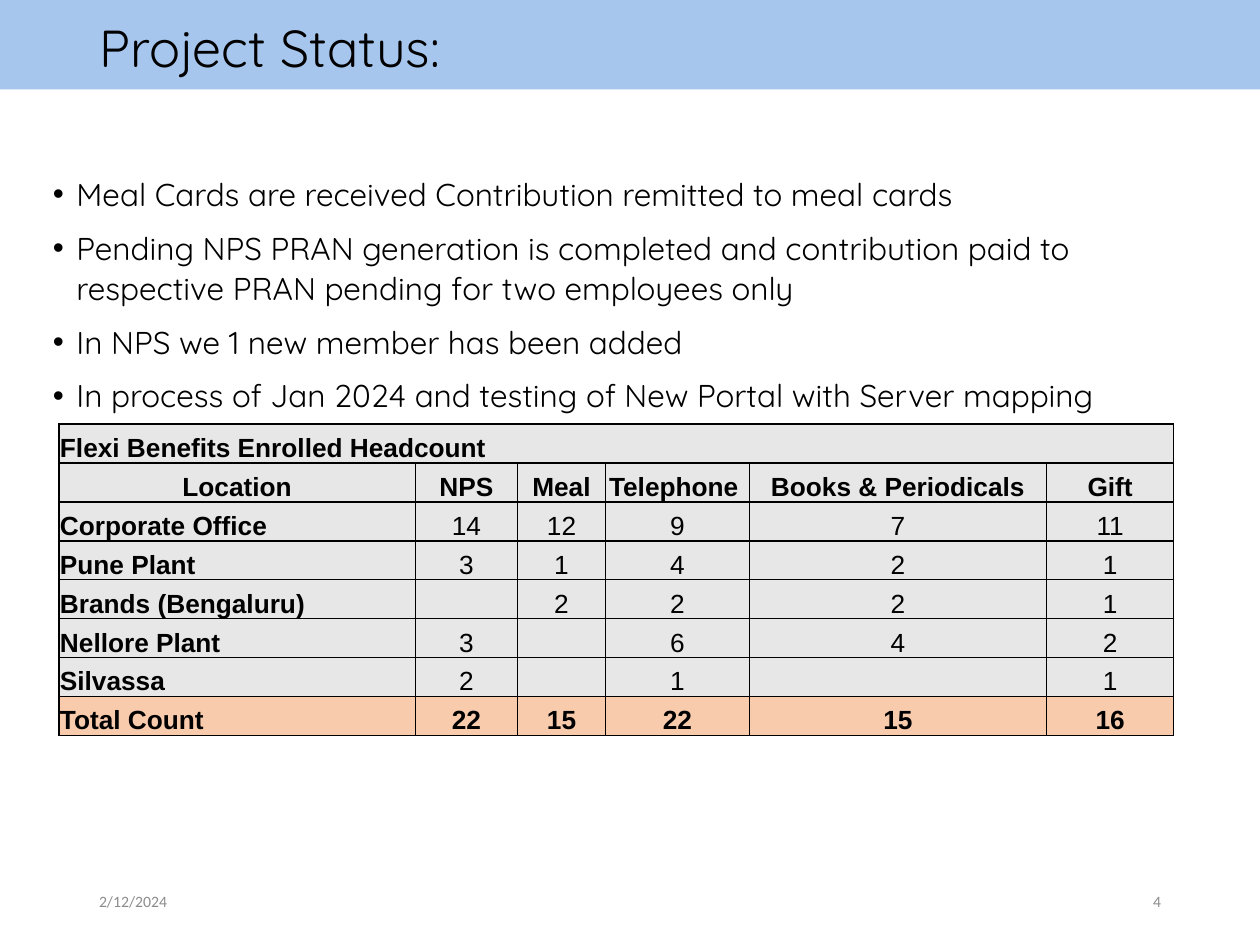
from lxml.etree import SubElement
from pptx import Presentation
from pptx.dml.color import RGBColor
from pptx.enum.shapes import MSO_SHAPE as Preset
from pptx.enum.text import MSO_ANCHOR as Anchor, MSO_AUTO_SIZE as AutoSize, PP_ALIGN as Align
from pptx.oxml.ns import qn
from pptx.util import Pt

BULLETS = [
    "Meal Cards are received Contribution remitted to meal cards",
    "Pending NPS PRAN generation is completed and contribution paid to "
    "respective PRAN pending for two employees only",
    "In NPS we 1 new member has been added",
    "In process of Jan 2024 and testing of New Portal with Server mapping",
]
HEADCOUNT = [
    ["Flexi Benefits Enrolled Headcount", "", "", "", "", ""],
    ["Location", "NPS", "Meal", "Telephone ", "Books & Periodicals", "Gift"],
    ["Corporate Office", "14", "12", "9", "7", "11"],
    ["Pune Plant", "3", "1", "4", "2", "1"],
    ["Brands (Bengaluru)", "", "2", "2", "2", "1"],
    ["Nellore Plant", "3", "", "6", "4", "2"],
    ["Silvassa", "2", "", "1", "", "1"],
    ["Total Count", "22", "15", "22", "15", "16"],
]
COLUMN_WIDTHS = [203.8, 58.3, 50.4, 82.1, 169.9, 72.7]
ROW_HEIGHT = 22.23


def color(hex_string):
    return RGBColor.from_string(hex_string)


class StatusSlide:
    """Holds the style and the current slide, and adds each kind of element."""

    heading_font, table_font, footer_font = "Quicksand", "Arial", "Calibri"
    ink, muted, band_fill = "000000", "8C8C8C", "A7C6ED"
    cell_fill, total_fill = "E7E7E7", "F8CBAD"

    def __init__(self, deck):
        self.slide = deck.slides.add_slide(deck.slide_layouts[1])
        self.shapes = self.slide.shapes

    def place(self, shape, left, top, width, height):
        shape.left, shape.top = Pt(left), Pt(top)
        shape.width, shape.height = Pt(width), Pt(height)

    def style(self, paragraph, name, size, ink, align=Align.LEFT, bold=False):
        paragraph.alignment = align
        font = paragraph.font
        font.name, font.size, font.bold = name, Pt(size), bold
        font.color.rgb = color(ink)

    def band(self, width, height):
        band = self.shapes.add_shape(Preset.RECTANGLE, 0, 0, Pt(width), Pt(height))
        band.shadow.inherit = False
        band.fill.solid()
        band.fill.fore_color.rgb = color(self.band_fill)
        band.line.fill.background()
        self.shapes.title.element.addprevious(band.element)

    def title(self, wording, *bounds):
        title = self.shapes.title
        self.place(title, *bounds)
        frame = title.text_frame
        frame.text = wording
        frame.auto_size = AutoSize.NONE
        frame.vertical_anchor = Anchor.MIDDLE
        heading = frame.paragraphs[0]
        heading.line_spacing = 0.9
        self.style(heading, self.heading_font, 29.7, self.ink)

    def bullets(self, items, *bounds):
        body = self.slide.placeholders[1]
        self.place(body, *bounds)
        frame = body.text_frame
        frame.text = "\n".join(items)
        frame.auto_size = AutoSize.NONE
        for index, item in enumerate(frame.paragraphs):
            properties = item._p.get_or_add_pPr()
            properties.set("marL", str(Pt(13.5)))
            properties.set("indent", str(Pt(-13.5)))
            SubElement(properties, qn("a:buFont"), typeface="Arial")
            SubElement(properties, qn("a:buChar"), char="•")
            item.line_spacing = 1.07
            item.space_before = Pt(7.5 if index else 0)
            self.style(item, self.heading_font, 18, self.ink)

    def footer(self, wording, left, align):
        footer = self.shapes.add_textbox(Pt(left), Pt(500.4), Pt(162), Pt(28.8))
        frame = footer.text_frame
        frame.word_wrap = True
        frame.vertical_anchor = Anchor.MIDDLE
        frame.text = wording
        self.style(frame.paragraphs[0], self.footer_font, 9, self.muted, align)

    def borders(self, cell):
        properties = cell._tc.get_or_add_tcPr()
        for side in ("lnL", "lnR", "lnT", "lnB"):
            line = SubElement(properties, qn(f"a:{side}"), w=str(Pt(1)))
            fill = SubElement(line, qn("a:solidFill"))
            SubElement(fill, qn("a:srgbClr"), val=self.ink)

    def cell(self, cell, wording, fill, align, bold):
        self.borders(cell)
        cell.fill.solid()
        cell.fill.fore_color.rgb = color(fill)
        cell.margin_left = cell.margin_right = cell.margin_top = Pt(0.7)
        cell.margin_bottom = 0
        cell.vertical_anchor = Anchor.BOTTOM
        cell.text = wording
        self.style(cell.text_frame.paragraphs[0], self.table_font, 15, self.ink, align, bold)

    def table(self, rows, left, top):
        height = ROW_HEIGHT * len(rows)
        table = self.shapes.add_table(
            len(rows), len(COLUMN_WIDTHS), Pt(left), Pt(top), Pt(sum(COLUMN_WIDTHS)), Pt(height)
        ).table
        table.first_row = table.horz_banding = False
        for column, width in zip(table.columns, COLUMN_WIDTHS):
            column.width = Pt(width)
        last = len(rows) - 1
        for row, entries in enumerate(rows):
            table.rows[row].height = Pt(ROW_HEIGHT)
            for column, wording in enumerate(entries):
                fill = self.total_fill if row == last else self.cell_fill
                align = Align.CENTER if column or row == 1 else Align.LEFT
                bold = column == 0 or row in (0, 1, last)
                self.cell(table.cell(row, column), wording, fill, align, bold)
        table.cell(0, 0).merge(table.cell(0, len(COLUMN_WIDTHS) - 1))


def main():
    deck = Presentation()
    deck.slide_width, deck.slide_height = Pt(720), Pt(540)
    status = StatusSlide(deck)
    status.band(720, 51.1)
    status.title("Project Status:", 49.7, 10.8, 620.6, 36)
    status.bullets(BULLETS, 23, 95, 647.3, 373)
    status.footer("2/12/2024", 49.5, Align.LEFT)
    status.footer("4", 508.5, Align.RIGHT)
    status.table(HEADCOUNT, 33.6, 242.4)
    deck.save("out.pptx")


if __name__ == "__main__":
    main()
